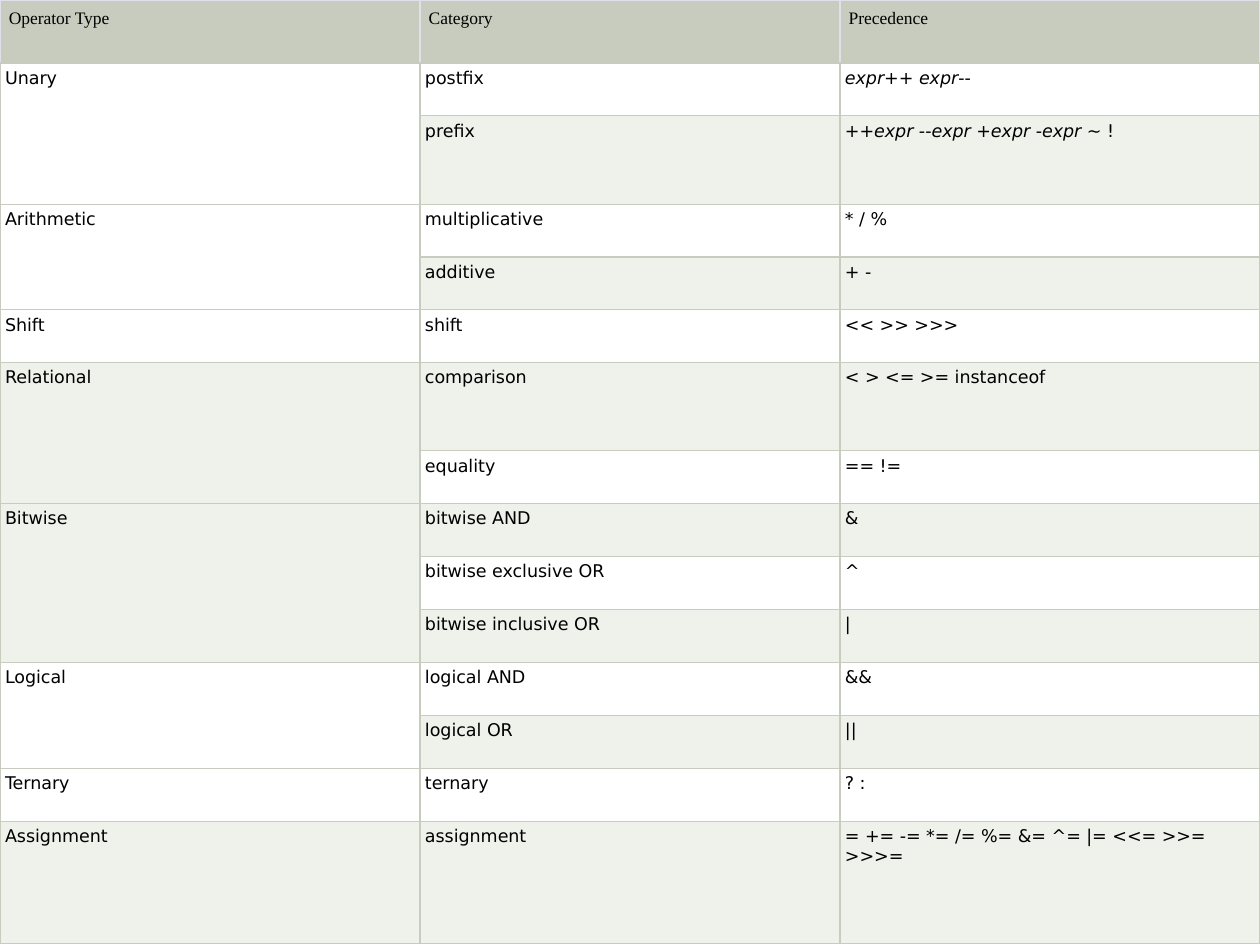
from dataclasses import dataclass

from lxml import etree
from pptx import Presentation
from pptx import util as u
from pptx.dml.color import RGBColor
from pptx.oxml import ns

SAGE, PALE, WHITE, LILAC, BLACK = "C7CCBE", "EFF1EB", "FFFFFF", "E0E0EB", "000000"
ITALIC_WORD = "expr"
ROW_HEIGHT, TALL_ROW_HEIGHT = 0.42, 0.7


@dataclass
class Operators:
    category: str
    symbols: str
    height: float = ROW_HEIGHT


@dataclass
class Group:
    name: str
    rows: list[Operators]


@dataclass
class CellStyle:
    font: str
    fill: str
    margin: float
    borders: dict[str, str]


HEADINGS = ["Operator Type", "Category", "Precedence"]
GROUPS = [
    Group("Unary", [
        Operators("postfix", "expr++ expr--"),
        Operators("prefix", "++expr --expr +expr -expr ~ !", TALL_ROW_HEIGHT),
    ]),
    Group("Arithmetic", [
        Operators("multiplicative", "* / %"),
        Operators("additive", "+ -"),
    ]),
    Group("Shift", [Operators("shift", "<< >> >>>")]),
    Group("Relational", [
        Operators("comparison", "< > <= >= instanceof", TALL_ROW_HEIGHT),
        Operators("equality", "== !="),
    ]),
    Group("Bitwise", [
        Operators("bitwise AND", "&"),
        Operators("bitwise exclusive OR", "^"),
        Operators("bitwise inclusive OR", "|"),
    ]),
    Group("Logical", [
        Operators("logical AND", "&&"),
        Operators("logical OR", "||"),
    ]),
    Group("Ternary", [Operators("ternary", "? :")]),
    Group("Assignment", [
        Operators("assignment", "= += -= *= /= %= &= ^= |= <<= >>= >>>=", 0.97),
    ]),
]

HEADER_STYLE = CellStyle("Times New Roman", SAGE, 0.07,
                         {"L": LILAC, "R": LILAC, "T": LILAC, "B": SAGE})


def rgb(value: str) -> RGBColor:
    return RGBColor.from_string(value)


def body_style(row: int) -> CellStyle:
    """Alternate the fill from row to row."""
    return CellStyle("DejaVu Sans", WHITE if row % 2 else PALE, 0.04,
                     dict.fromkeys("LRTB", SAGE))


def style_cell(cell, style: CellStyle) -> None:
    margin = u.Inches(style.margin)
    cell.margin_left = cell.margin_right = margin
    cell.margin_top = cell.margin_bottom = margin
    # Borders come before the fill in the cell properties
    tc_pr = cell._tc.get_or_add_tcPr()
    for side, color in style.borders.items():
        ln = etree.SubElement(tc_pr, ns.qn(f"a:ln{side}"), w=str(u.Pt(0.75)))
        fill = etree.SubElement(ln, ns.qn("a:solidFill"))
        etree.SubElement(fill, ns.qn("a:srgbClr"), val=color)
    cell.fill.solid()
    cell.fill.fore_color.rgb = rgb(style.fill)


def write_cell(cell, content: str, style: CellStyle) -> None:
    """Write the text, with the placeholder word in italics."""
    p = cell.text_frame.paragraphs[0]
    p.font.name = style.font
    p.font.size = u.Pt(10)
    p.font.color.rgb = rgb(BLACK)
    for i, part in enumerate(content.split(ITALIC_WORD)):
        if i:
            r = p.add_run()
            r.text = ITALIC_WORD
            r.font.italic = True
        if part:
            p.add_run().text = part


def main() -> None:
    prs = Presentation()
    prs.slide_width, prs.slide_height = u.Inches(10), u.Inches(7.5)
    s = prs.slides.add_slide(prs.slide_layouts[6])

    # Table grid
    heights = [0.5] + [ops.height for group in GROUPS for ops in group.rows]
    table = s.shapes.add_table(len(heights), len(HEADINGS), 0, 0,
                               prs.slide_width, u.Inches(sum(heights))).table
    table.first_row = table.horz_banding = False
    for row, height in zip(table.rows, heights):
        row.height = u.Inches(height)
    for col in table.columns:
        col.width = prs.slide_width // len(HEADINGS)

    # Cell styles
    styles = [HEADER_STYLE] + [body_style(i) for i in range(1, len(heights))]
    for row, style in zip(table.rows, styles):
        for cell in row.cells:
            style_cell(cell, style)

    # Header row
    for col, heading in enumerate(HEADINGS):
        write_cell(table.cell(0, col), heading, HEADER_STYLE)

    # Operator groups, each type spanning its categories
    top = 1
    for group in GROUPS:
        last = top + len(group.rows) - 1
        if last > top:
            table.cell(top, 0).merge(table.cell(last, 0))
        write_cell(table.cell(top, 0), group.name, styles[top])
        for i, ops in enumerate(group.rows, top):
            write_cell(table.cell(i, 1), ops.category, styles[i])
            write_cell(table.cell(i, 2), ops.symbols, styles[i])
        top = last + 1

    prs.save("out.pptx")


if __name__ == "__main__":
    main()
